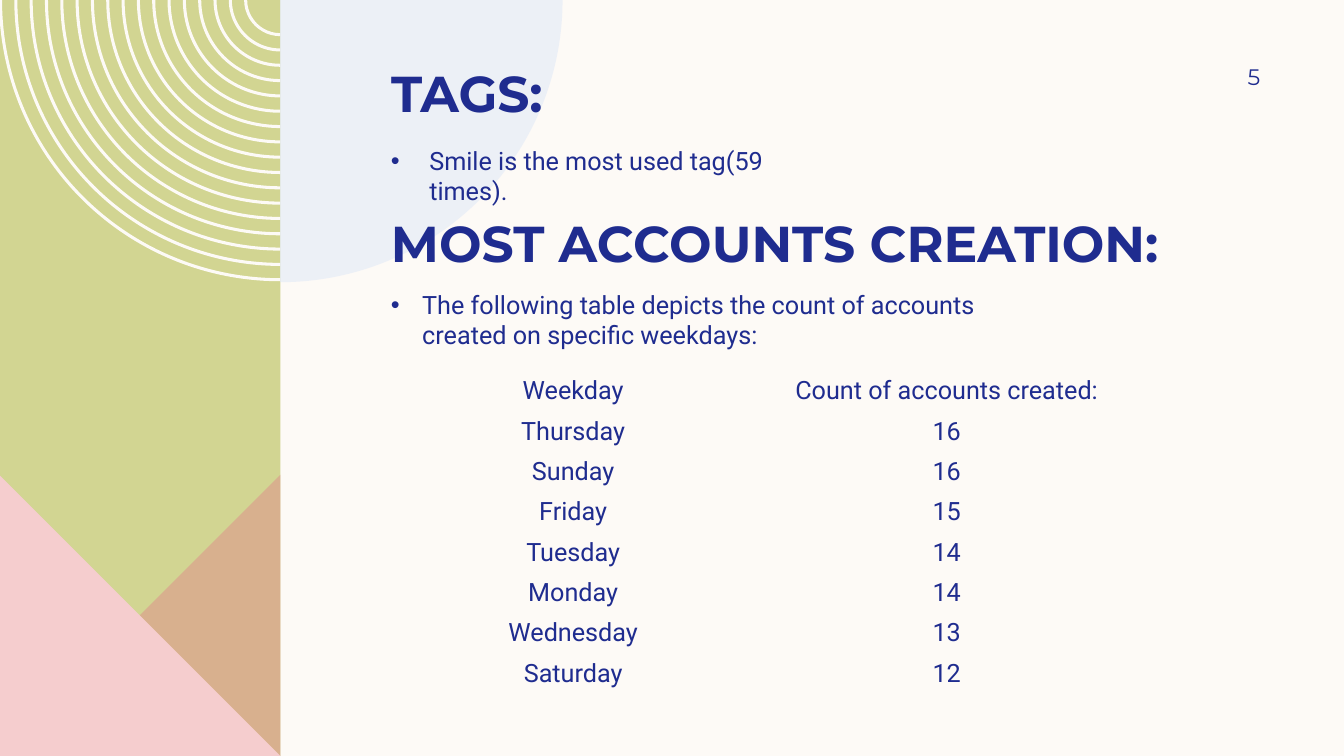
from lxml.etree import SubElement
from pptx import Presentation
from pptx.dml.color import RGBColor
from pptx.enum.shapes import MSO_SHAPE
from pptx.enum.text import MSO_ANCHOR, PP_ALIGN
from pptx.oxml.ns import qn
from pptx.util import Inches, Pt

CREAM = RGBColor(0xFD, 0xFA, 0xF6)
GREEN = RGBColor(0xD2, 0xD5, 0x92)
ROSE = RGBColor(0xDE, 0x8C, 0x8C)
PINK = RGBColor(0xF5, 0xCD, 0xCE)
PALE_BLUE = RGBColor(0xDD, 0xE7, 0xF6)
NAVY = RGBColor(0x1F, 0x2C, 0x8F)
HEADING_FONT = "Montserrat"
BODY_FONT = "Roboto"
NO_STYLE_NO_GRID = "{2D5ABB26-0587-4C30-8999-92F81FD0307C}"

PANEL_RIGHT = 2.78
TEXT_LEFT = 3.78
RING_COUNT = 17
RING_WIDTH = 0.03
RING_GAP = 0.12
DISC_RADIUS = 2.8
QUARTER_TURN = 90 * 60000

ACCOUNTS = [
    ("Weekday", "Count of accounts created:"),
    ("Thursday", "16"),
    ("Sunday", "16"),
    ("Friday", "15"),
    ("Tuesday", "14"),
    ("Monday", "14"),
    ("Wednesday", "13"),
    ("Saturday", "12"),
]


def paint(shape, color, opacity=100):
    shape.shadow.inherit = False
    shape.line.fill.background()
    shape.fill.solid()
    shape.fill.fore_color.rgb = color
    if opacity < 100:
        color_node = shape.fill._xPr.find(qn("a:solidFill"))[0]
        SubElement(color_node, qn("a:alpha"), val=str(opacity * 1000))


def add_outline(slide, contours, color, opacity=100):
    contours = [[(Inches(x), Inches(y)) for x, y in points] for points in contours]
    builder = slide.shapes.build_freeform(*contours[0][0])
    builder.add_line_segments(contours[0][1:], close=True)
    for points in contours[1:]:
        builder.move_to(*points[0])
        builder.add_line_segments(points[1:], close=True)
    outline = builder.convert_to_shape()
    paint(outline, color, opacity)
    return outline


def bend(side, radius, start, sweep):
    length = str(Inches(radius))
    arc = side.makeelement(qn("a:arcTo"), {
        "wR": length, "hR": length, "stAng": str(start), "swAng": str(sweep)})
    side.getparent().replace(side, arc)


def add_rings(slide):
    radii = [2.79 - i * (RING_WIDTH + RING_GAP) * 1.013 for i in range(RING_COUNT)]
    corners = [[(PANEL_RIGHT - outer, 0), (PANEL_RIGHT, outer),
                (PANEL_RIGHT, outer - RING_WIDTH),
                (PANEL_RIGHT - outer + RING_WIDTH, 0)] for outer in radii]
    rings = add_outline(slide, corners, CREAM)
    sides = list(rings._element.iter(qn("a:lnTo")))
    for outer, outer_side, inner_side in zip(radii, sides[::3], sides[2::3]):
        bend(outer_side, outer, 2 * QUARTER_TURN, -QUARTER_TURN)
        bend(inner_side, outer - RING_WIDTH, QUARTER_TURN, QUARTER_TURN)


def add_quarter_disc(slide):
    corners = [(PANEL_RIGHT, DISC_RADIUS), (PANEL_RIGHT + DISC_RADIUS, 0), (PANEL_RIGHT, 0)]
    disc = add_outline(slide, [corners], PALE_BLUE, 50)
    curved_side = next(disc._element.iter(qn("a:lnTo")))
    bend(curved_side, DISC_RADIUS, QUARTER_TURN, -QUARTER_TURN)


def add_decoration(slide):
    panel = slide.shapes.add_shape(
        MSO_SHAPE.RECTANGLE, Inches(-0.01), 0, Inches(2.79), Inches(7.5))
    paint(panel, GREEN)
    add_rings(slide)
    add_outline(slide, [[(PANEL_RIGHT, 4.71), (PANEL_RIGHT, 7.5), (-0.01, 7.5)]], ROSE, 50)
    add_outline(slide, [[(-0.01, 4.71), (PANEL_RIGHT, 7.5), (-0.01, 7.5)]], PINK)
    add_quarter_disc(slide)


def style_text(paragraph, font_name, size, bold=False):
    for run in paragraph.runs:
        run.font.name = font_name
        run.font.size = Pt(size)
        run.font.bold = bold
        run.font.color.rgb = NAVY


def add_text(slide, text, box, font_name, size, bold=False,
             anchor=MSO_ANCHOR.TOP, vertical_inset=0.05):
    frame = slide.shapes.add_textbox(*map(Inches, box)).text_frame
    frame.word_wrap = True
    frame.vertical_anchor = anchor
    frame.margin_top = frame.margin_bottom = Inches(vertical_inset)
    frame.text = text
    style_text(frame.paragraphs[0], font_name, size, bold)
    return frame


def add_heading(slide, text, box, **layout):
    add_text(slide, text, box, HEADING_FONT, 36, True, **layout)


def add_bullet(slide, text, box, indent, **layout):
    paragraph = add_text(slide, text, box, BODY_FONT, 18, **layout).paragraphs[0]
    properties = paragraph._p.get_or_add_pPr()
    properties.set("marL", str(Inches(indent)))
    properties.set("indent", str(-Inches(indent)))
    SubElement(properties, qn("a:buFont"), typeface="Arial")
    SubElement(properties, qn("a:buChar"), char="•")
    return paragraph


def add_page_number(slide, number):
    frame = add_text(slide, number, (11.33, 0.5, 1.17, 0.52), HEADING_FONT, 16,
                     anchor=MSO_ANCHOR.MIDDLE)
    frame.margin_right = 0
    frame.paragraphs[0].alignment = PP_ALIGN.RIGHT


def add_accounts_table(slide):
    table = slide.shapes.add_table(
        len(ACCOUNTS), 2, Inches(3.84), Inches(3.68), Inches(7.41), Inches(3.2)).table
    table.first_row = table.horz_banding = False
    table._tbl.tblPr.find(qn("a:tableStyleId")).text = NO_STYLE_NO_GRID
    for column, width in zip(table.columns, (3.69, 3.72)):
        column.width = Inches(width)
    for row, values in zip(table.rows, ACCOUNTS):
        row.height = Inches(0.4)
        for cell, value in zip(row.cells, values):
            cell.fill.background()
            cell.vertical_anchor = MSO_ANCHOR.MIDDLE
            cell.text = value
            paragraph = cell.text_frame.paragraphs[0]
            paragraph.alignment = PP_ALIGN.CENTER
            style_text(paragraph, BODY_FONT, 18)


def main():
    deck = Presentation()
    deck.slide_width, deck.slide_height = Inches(13.33), Inches(7.5)
    slide = deck.slides.add_slide(deck.slide_layouts[6])
    slide.background.fill.solid()
    slide.background.fill.fore_color.rgb = CREAM

    add_decoration(slide)
    add_heading(slide, "TAGS:", (TEXT_LEFT, 0.5, 2.09, 0.72),
                anchor=MSO_ANCHOR.BOTTOM, vertical_inset=0)
    tag_note = add_bullet(slide, "Smile is the most used tag(59 times).",
                          (TEXT_LEFT, 1.44, 4.57, 0.55), 0.38, vertical_inset=0)
    tag_note.space_before = Pt(10)
    add_page_number(slide, "5")
    add_heading(slide, "MOST ACCOUNTS CREATION:", (TEXT_LEFT, 2.05, 8.93, 1.31))
    add_bullet(
        slide,
        "The following table depicts the count of accounts created on specific weekdays:",
        (TEXT_LEFT, 2.82, 6.67, 0.71), 0.31)
    add_accounts_table(slide)
    deck.save("out.pptx")


if __name__ == "__main__":
    main()
